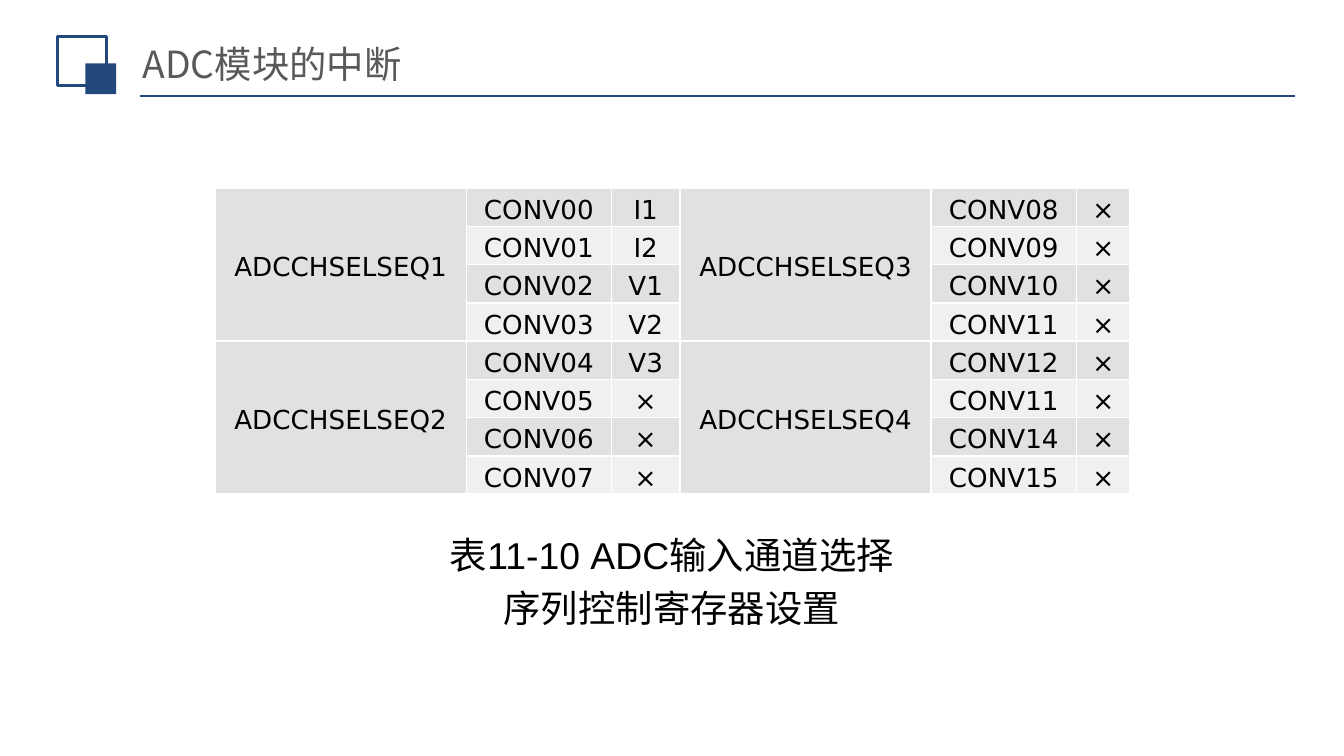
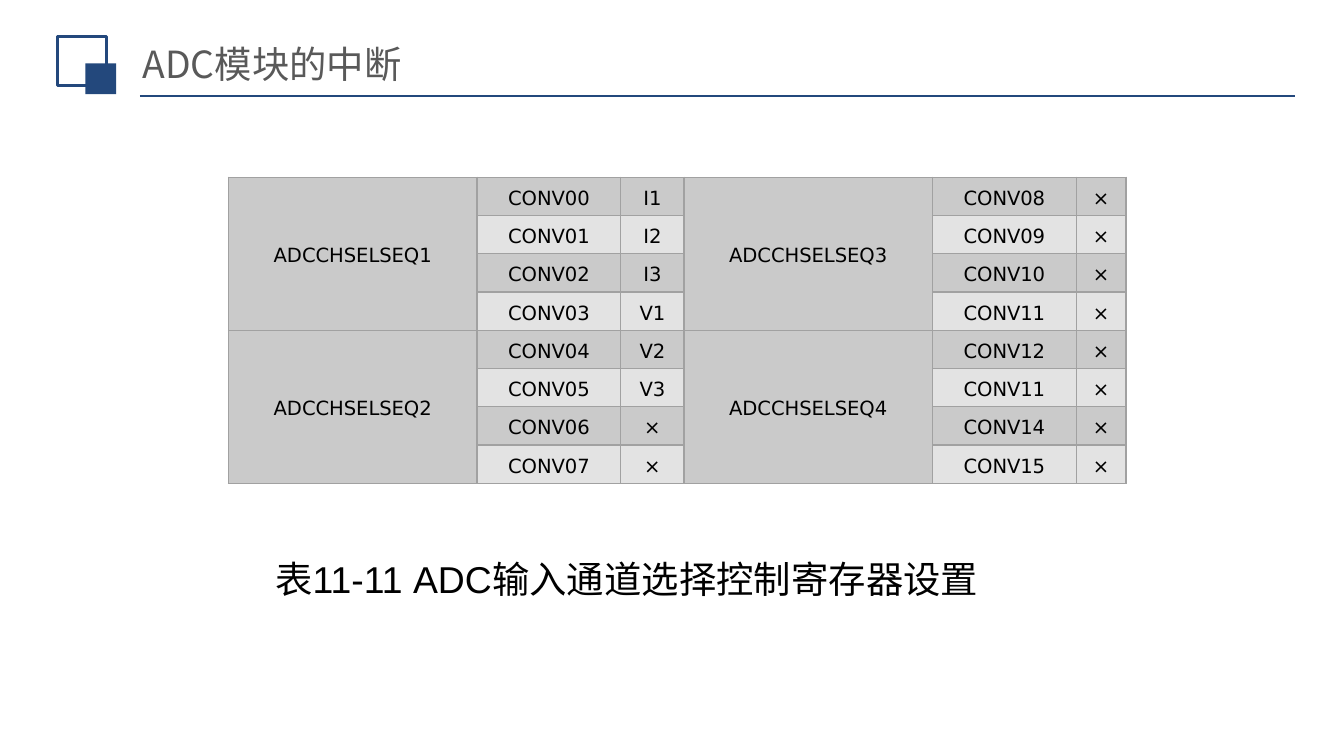
import pptx
import pptx.util
import pptx.dml.color
import pptx.enum.shapes
import pptx.enum.text
import pptx.oxml
import pptx.oxml.ns

Pt = pptx.util.Pt
Rect = pptx.enum.shapes.MSO_SHAPE.RECTANGLE
Line = pptx.enum.shapes.MSO_CONNECTOR.STRAIGHT
Align = pptx.enum.text.PP_ALIGN
Middle = pptx.enum.text.MSO_ANCHOR.MIDDLE
Fit = pptx.enum.text.MSO_AUTO_SIZE

COLORS = {
    "navy": "23487C", "title": "595959", "text": "000000",
    "white": "FFFFFF", "gray": "A1A1A1",
    "dark1": "E1E1E1", "light1": "F0F0F0",
    "dark2": "CACACA", "light2": "E3E3E3",
}
CJK = "Noto Sans CJK SC"
TITLE = "ADC模块的中断"

BLOCKS = [
    ("ADCCHSELSEQ1", ["CONV00", "CONV01", "CONV02", "CONV03"]),
    ("ADCCHSELSEQ2", ["CONV04", "CONV05", "CONV06", "CONV07"]),
    ("ADCCHSELSEQ3", ["CONV08", "CONV09", "CONV10", "CONV11"]),
    ("ADCCHSELSEQ4", ["CONV12", "CONV11", "CONV14", "CONV15"]),
]
ROWS = 8
SPAN = 4

SLIDES = [
    {
        "inputs": ["I1", "I2", "V1", "V2", "V3"],
        "place": (115.2, 100.8), "cols": [134.64, 77.76, 36.72, 134.64, 77.76, 28.8],
        "size": 14, "inset": 7.2, "fills": ("dark1", "light1"), "border": ("white", 1),
        "caption": "表11-10 ADC输入通道选择序列控制寄存器设置",
        "box": (229.7, 276.5, 260.6, 65.5), "align": Align.CENTER,
    },
    {
        "inputs": ["I1", "I2", "I3", "V1", "V2", "V3"],
        "place": (122.4, 95), "cols": [133.2, 77.04, 33.84, 133.2, 77.04, 26.64],
        "size": 10.5, "inset": 5, "fills": ("dark2", "light2"), "border": ("gray", 0.75),
        "caption": "表11-11 ADC输入通道选择控制寄存器设置",
        "box": (140.4, 289.4, 439.2, 36), "align": Align.LEFT,
    },
]
ROW_H = 20.52


def rgb(name):
    return pptx.dml.color.RGBColor.from_string(COLORS[name])


def style(par, font, size, color, align, space=None):
    par.alignment = align
    par.line_spacing = space
    for run in par.runs:
        run.font.name = font
        run.font.size = Pt(size)
        run.font.color.rgb = rgb(color)
        east = run.font.element.makeelement(pptx.oxml.ns.qn("a:ea"), {"typeface": CJK}) \
            if hasattr(run.font, "element") else None
        if east is None:
            props = run._r.get_or_add_rPr()
            east = props.makeelement(pptx.oxml.ns.qn("a:ea"), {"typeface": CJK})
            props.find(pptx.oxml.ns.qn("a:latin")).addnext(east)


def add_mark(slide, layout):
    frame = slide.shapes.add_shape(Rect, Pt(31), Pt(19.5), Pt(26), Pt(26.5))
    frame.fill.background()
    frame.line.color.rgb = rgb("navy")
    frame.line.width = Pt(1.5)
    block = slide.shapes.add_shape(Rect, Pt(45.8), Pt(34), Pt(16.5), Pt(16.5))
    block.fill.solid()
    block.fill.fore_color.rgb = rgb("navy")
    block.line.fill.background()
    for shape in (frame, block):
        shape.shadow.inherit = False
    rule = slide.shapes.add_connector(Line, Pt(75), Pt(51.6), Pt(694), Pt(51.6))
    rule.line.color.rgb = rgb("navy")
    rule.line.width = Pt(1.25)
    props = rule.element.spPr
    props.append(props.makeelement(pptx.oxml.ns.qn("a:effectLst"), {}))
    for shape in (rule, frame, block):
        layout.shapes.element.append(shape.element)


def add_title(slide):
    title = slide.shapes.title
    title.left, title.top, title.width, title.height = map(Pt, (71.3, 20.9, 634.3, 25.9))
    text = title.text_frame
    text.text = TITLE
    text.auto_size = Fit.NONE
    text.vertical_anchor = Middle
    text.margin_left = text.margin_right = Pt(5)
    text.margin_top = text.margin_bottom = Pt(3)
    style(text.paragraphs[0], CJK, 20, "title", Align.LEFT)


def add_edges(cell, color, width):
    props = cell._tc.get_or_add_tcPr()
    for spot, side in enumerate("LRTB"):
        props.insert(spot, pptx.oxml.parse_xml(
            f'<a:ln{side} {pptx.oxml.ns.nsdecls("a")} w="{Pt(width)}"><a:solidFill>'
            f'<a:srgbClr val="{COLORS[color]}"/></a:solidFill></a:ln{side}>'))


def make_grid(inputs):
    grid = [[""] * 6 for _ in range(ROWS)]
    for index, (name, convs) in enumerate(BLOCKS):
        half, part = divmod(index, 2)
        left, top = half * 3, part * SPAN
        grid[top][left] = name
        for step, conv in enumerate(convs):
            order = index * SPAN + step
            grid[top + step][left + 1] = conv
            grid[top + step][left + 2] = inputs[order] if order < len(inputs) else "×"
    return grid


def add_grid(slide, page):
    cols = page["cols"]
    left, top = page["place"]
    table = slide.shapes.add_table(ROWS, len(cols), Pt(left), Pt(top),
                                   Pt(sum(cols)), Pt(ROW_H * ROWS)).table
    table.first_row = table.horz_banding = False
    for col, width in zip(table.columns, cols):
        col.width = Pt(width)
    for row in table.rows:
        row.height = Pt(ROW_H)
    for y, line in enumerate(make_grid(page["inputs"])):
        for x, word in enumerate(line):
            cell = table.cell(y, x)
            cell.text = word
            cell.vertical_anchor = Middle
            cell.margin_left = cell.margin_right = Pt(page["inset"])
            cell.margin_top = cell.margin_bottom = 0
            cell.fill.solid()
            cell.fill.fore_color.rgb = rgb(page["fills"][y % 2 if x % 3 else 0])
            add_edges(cell, *page["border"])
            style(cell.text_frame.paragraphs[0], "DejaVu Sans", page["size"],
                  "text", Align.CENTER, 1.2)
    for y in range(0, ROWS, SPAN):
        for x in (0, 3):
            table.cell(y, x).merge(table.cell(y + SPAN - 1, x))


def add_caption(slide, page):
    text = slide.shapes.add_textbox(*map(Pt, page["box"])).text_frame
    text.word_wrap = True
    text.auto_size = Fit.SHAPE_TO_FIT_TEXT
    text.text = page["caption"]
    style(text.paragraphs[0], "Arial", 20, "text", page["align"], 1.2)


def main():
    deck = pptx.Presentation()
    deck.slide_width, deck.slide_height = Pt(720), Pt(405)
    layout = deck.slide_layouts[5]
    for index, page in enumerate(SLIDES):
        slide = deck.slides.add_slide(layout)
        if index == 0:
            add_mark(slide, layout)
        add_title(slide)
        add_caption(slide, page)
        add_grid(slide, page)
    deck.save("out.pptx")


if __name__ == "__main__":
    main()
